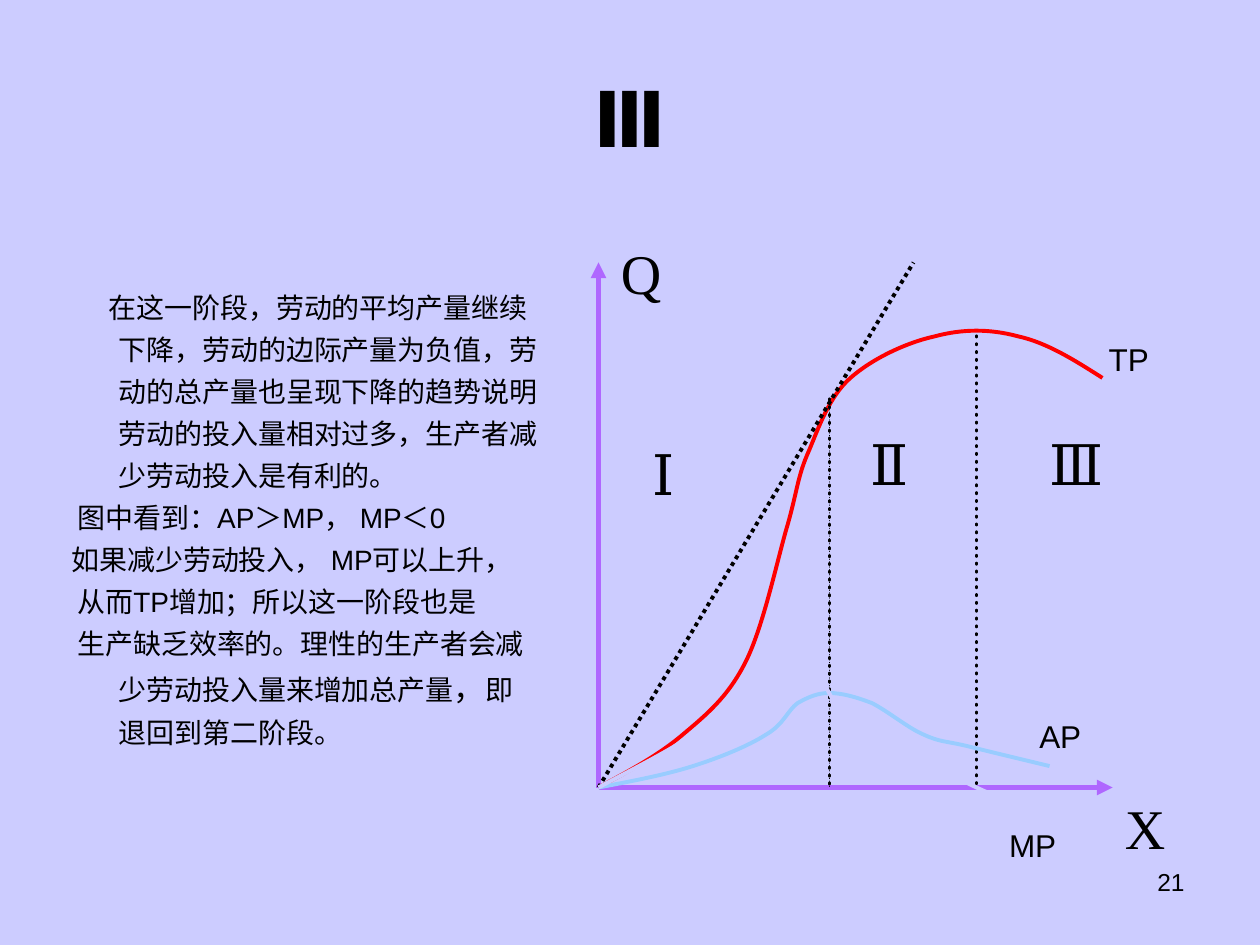
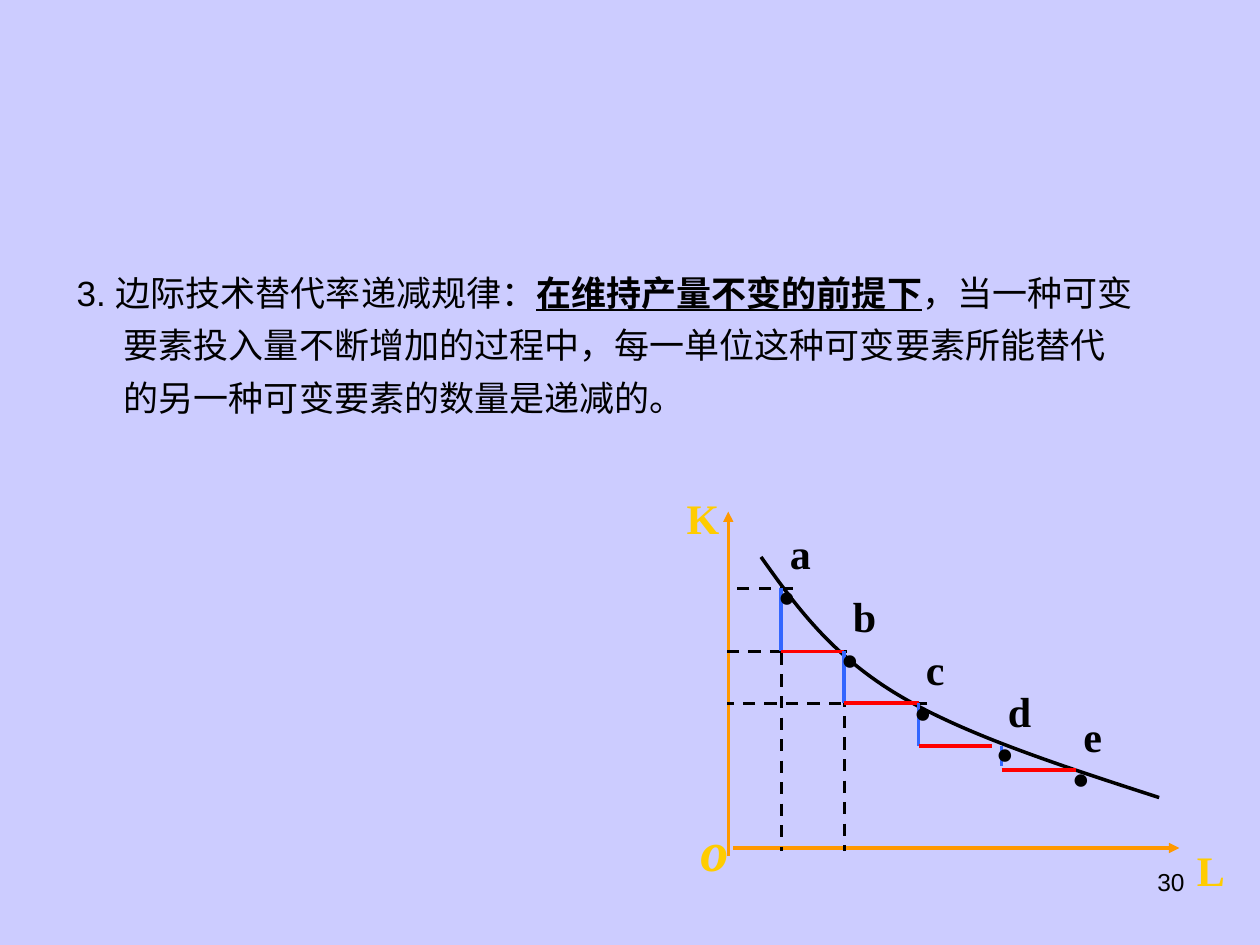
"""Build two slides on production stages and diminishing technical substitution."""
import pptx
import pptx.dml.color
import pptx.enum.dml
import pptx.enum.text
import pptx.oxml
import pptx.oxml.ns
import pptx.util

SANS, SERIF = "Arial", "Times New Roman"
BLACK, LAVENDER, PURPLE, RED = "000000", "CCCCFF", "AF67FF", "FF0000"
SKY, ORANGE, GOLD, BLUE = "99CCFF", "FF9900", "FFCC00", "3366FF"
DOT = pptx.enum.dml.MSO_LINE.ROUND_DOT
DASH = pptx.enum.dml.MSO_LINE.DASH
ALIGN = pptx.enum.text.PP_ALIGN
PLAIN_INSETS = (0.1, 0.05, 0.1, 0.05)
MARK_INSETS = (0.28, 0, 0.04, 0.17)


def length(inches):
    """Turn inches into a Cm length."""
    return pptx.util.Cm(inches * 2.54)


def rgb(code):
    """Turn a hex string into a colour."""
    return pptx.dml.color.RGBColor.from_string(code)


def sub(parent, tag, **attributes):
    """Append a DrawingML element to parent and return it."""
    child = pptx.oxml.parse_xml(f'<{tag} {pptx.oxml.ns.nsdecls("a")}/>')
    for name, value in attributes.items():
        child.set(name, value)
    parent.append(child)
    return child


def format_run(r, size, font=SANS, color=BLACK, bold=False, italic=False, underline=False):
    """Set the font of a run, for Latin and East Asian text alike."""
    r.font.size = pptx.util.Pt(size)
    r.font.name = font
    r.font.bold, r.font.italic, r.font.underline = bold, italic, underline
    r.font.color.rgb = rgb(color)
    sub(r.font._element, "a:ea", typeface=font)


def add_box(s, left, top, width, height, insets=PLAIN_INSETS, wrap=True):
    """Add an empty text box and return its text frame."""
    tf = s.shapes.add_textbox(*map(length, (left, top, width, height))).text_frame
    tf.word_wrap = wrap
    tf.margin_left, tf.margin_top, tf.margin_right, tf.margin_bottom = map(length, insets)
    return tf


def add_label(s, text, box, size, align=ALIGN.LEFT, insets=PLAIN_INSETS, wrap=True,
              spacing=None, **style):
    """Add a text box that holds one run."""
    tf = add_box(s, *box, insets, wrap)
    tf.text = text
    p = tf.paragraphs[0]
    p.alignment = align
    if spacing:
        p.line_spacing = spacing
    format_run(p.runs[0], size, **style)
    return tf


def add_mark(s, text, box, size, wrap=False, **style):
    """Add a bold serif mark set in the wide left inset."""
    add_label(s, text, box, size, ALIGN.CENTER, MARK_INSETS, wrap, 1.4,
              font=SERIF, bold=True, **style)


def fill_paragraph(p, runs, indent):
    """Write (text, style) runs into a hanging paragraph."""
    p.line_spacing = 1.25
    properties = p._p.get_or_add_pPr()
    properties.set("marL", str(pptx.util.Cm(0.95)))
    properties.set("indent", str(pptx.util.Cm(indent)))
    for text, style in runs:
        r = p.add_run()
        r.text = text
        format_run(r, **style)


def add_line(s, start, end, color, width, dash=None, arrow=False, beads=False):
    """Add a straight connector, plain, dashed or as a string of beads."""
    sp = s.shapes.add_connector(1, *map(length, (*start, *end)))
    sp.line.color.rgb = rgb(color)
    sp.line.width = pptx.util.Pt(width)
    if dash:
        sp.line.dash_style = dash
    ln = sp.line._get_or_add_ln()
    if beads:
        ln.set("cap", "rnd")
        sub(sub(ln, "a:custDash"), "a:ds", d="100000", sp="100000")
    if arrow:
        sub(ln, "a:tailEnd", type="triangle")
    sub(sp._element.spPr, "a:effectLst")


def add_curve(s, start, segments, color, width):
    """Add an open outline of cubic segments, each two handles and an end."""
    points = [start] + [seg[i:i + 2] for seg in segments for i in (0, 2, 4)]
    points = [(length(x), length(y)) for x, y in points]
    builder = s.shapes.build_freeform(*points[0])
    builder.add_line_segments(points[1:], close=False)
    sp = builder.convert_to_shape()
    lines = sp._element.findall(".//" + pptx.oxml.ns.qn("a:lnTo"))
    outline = lines[0].getparent()
    for i in range(0, len(lines), 3):
        cubic = sub(outline, "a:cubicBezTo")
        for line in lines[i:i + 3]:
            cubic.append(line[0])
            outline.remove(line)
    sp.shadow.inherit = False
    sp.fill.background()
    sp.line.color.rgb = rgb(color)
    sp.line.width = pptx.util.Pt(width)


def new_slide(prs, number):
    """Add a blank slide with the shared background and page number."""
    s = prs.slides.add_slide(prs.slide_layouts[6])
    s.background.fill.solid()
    s.background.fill.fore_color.rgb = rgb(LAVENDER)
    add_label(s, number, (7.17, 6.83, 2.33, 0.52), 14, ALIGN.RIGHT)
    return s


def add_stage_text(s):
    """Add the explanation of the third stage."""
    normal, large = {"size": 16}, {"size": 18}
    paragraphs = [
        (-0.2, [("在这一阶段，劳动的平均产量继续下降，劳动的边际产量为负值，劳动的总产量也呈现下降的"
                 "趋势说明劳动的投入量相对过多，生产者减少劳动投入是有利的。", normal)]),
        (-0.83, [("图中看到：AP＞MP， MP＜0", normal)]),
        (-0.95, [("如果减少劳动投入， MP可以上升，", normal)]),
        (-0.83, [("从而TP增加；所以这一阶段也是", normal)]),
        (-0.83, [("生产缺乏效率的。理性的生产者会减少劳动投入量来增加总产量", normal),
                 ("，", large), ("即退回到第二阶段。", normal)]),
    ]
    tf = add_box(s, 0.47, 2.19, 3.91, 4.5)
    for i, (indent, runs) in enumerate(paragraphs):
        fill_paragraph(tf.add_paragraph() if i else tf.paragraphs[0], runs, indent)


def add_product_diagram(s):
    """Draw the total, average and marginal product curves."""
    origin, top = (4.75, 6.25), 25 / 12
    for end in ((8.83, 6.25), (4.75, top)):
        add_line(s, origin, end, PURPLE, 3, arrow=True)
    add_curve(s, origin, [
        (4.99, 6.12, 5.22, 6, 5.42, 5.83), (5.61, 5.67, 5.78, 5.53, 5.92, 5.25),
        (6.06, 4.97, 6.17, 4.44, 6.25, 4.17), (6.33, 3.89, 6.33, 3.78, 6.42, 3.58),
        (6.5, 3.39, 6.58, 3.15, 6.75, 3), (6.92, 2.85, 7.19, 2.72, 7.42, 2.67),
        (7.64, 2.61, 7.86, 2.61, 8.08, 2.67), (8.31, 2.72, 8.53, 2.86, 8.75, 3)], RED, 2.25)
    add_line(s, origin, (7.25, top), BLACK, 2.25, DOT)
    average_peak, total_peak = (79 / 12, 3.17), (7.75, 2.67)
    for (x, y), width in ((average_peak, 0.75), (total_peak, 2.25), (average_peak, 2.25)):
        add_line(s, (x, y), (x, 6.25), BLACK, width, beads=True)
    add_curve(s, origin, [
        (5.01, 6.2, 5.28, 6.15, 5.5, 6.08), (5.72, 6.01, 5.94, 5.92, 6.08, 5.83),
        (6.22, 5.75, 6.25, 5.64, 6.33, 5.58), (6.42, 5.53, 6.49, 5.5, 6.58, 5.5),
        (6.68, 5.5, 6.79, 5.53, 6.92, 5.58), (7.04, 5.64, 7.21, 5.78, 7.33, 5.83),
        (7.46, 5.89, 7.5, 5.88, 7.67, 5.92), (7.83, 5.96, 8.08, 6.02, 8.33, 6.08)], SKY, 2.25)
    add_curve(s, origin, [
        (5.03, 6.1, 5.31, 5.96, 5.5, 5.83), (5.69, 5.71, 5.79, 5.62, 5.92, 5.5),
        (6.04, 5.37, 6.17, 5.15, 6.25, 5.08), (6.33, 5.01, 6.36, 5.01, 6.42, 5.08),
        (6.47, 5.15, 6.51, 5.37, 6.58, 5.5), (6.65, 5.62, 6.69, 5.74, 6.83, 5.83),
        (6.97, 5.93, 7.26, 6.01, 7.42, 6.08), (7.57, 6.15, 7.6, 6.18, 7.75, 6.25),
        (7.9, 6.32, 8.12, 6.41, 8.33, 6.5)], LAVENDER, 2.25)
    for text, x, y, width in (("Q", 4.83, 1.84, 1.33), ("X", 8.83, 6.25, 0.58),
                              ("Ⅲ", 8.23, 3.36, 0.75), ("Ⅱ", 6.81, 3.36, 0.67),
                              ("Ⅰ", 5.08, 3.44, 0.75)):
        add_label(s, text, (x, y, width, 0.64), 32, font=SERIF)
    for text, x, y, width in (("TP", 8.7, 2.65, 0.71), ("AP", 8.15, 5.64, 0.87),
                              ("MP", 7.91, 6.51, 0.71)):
        add_label(s, text, (x, y, width, 0.4), 18)


def add_substitution_diagram(s):
    """Draw the isoquant with its shrinking steps."""
    add_line(s, (5.82, 6.73), (9.36, 6.73), ORANGE, 1.75, arrow=True)
    add_line(s, (5.78, 6.79), (5.78, 4.06), ORANGE, 1.75, arrow=True)
    add_mark(s, "o", (5.28, 6.26, 0.54, 0.92), 32, color=GOLD, italic=True)
    add_mark(s, "L", (9.22, 6.54, 0.54, 0.73), 24, color=GOLD)
    add_mark(s, "K", (5.17, 3.75, 0.58, 0.73), 24, color=GOLD)
    add_curve(s, (6.04, 4.42), [(6.31, 4.8, 6.59, 5.19, 7.12, 5.51),
                                (7.65, 5.83, 8.43, 6.08, 9.2, 6.33)], BLACK, 2)
    for right, left, y in ((6.29, 5.79, 4.67), (6.72, 5.72, 5.17), (7.36, 5.77, 5.58)):
        add_line(s, (right, y), (left, y), BLACK, 1.75, DASH)
    for x, top in ((6.2, 4.67), (6.7, 5.17)):
        add_line(s, (x, top), (x, 6.75), BLACK, 1.75, DASH)
    steps = ((6.2, 4.67, 5.17, 5.17, 6.7), (6.7, 5.17, 5.58, 5.58, 7.29),
             (7.29, 5.58, 5.92, 5.92, 7.87), (7.95, 5.92, 6.08, 6.11, 8.54))
    for x, top, bottom, tread, right in steps:
        add_line(s, (x, top), (x, bottom), BLUE, 2)
        add_line(s, (x, tread), (right, tread), RED, 2)
    for name, x, y in (("d", 7.6, 5.3), ("e", 8.2, 5.5), ("c", 6.95, 4.97),
                       ("b", 6.37, 4.55), ("a", 5.87, 4.05)):
        add_label(s, name, (x + 0.3, y + 0.09, 0.36, 0.5), 24, wrap=False,
                  font=SERIF, bold=True)
        add_mark(s, "·", (x, y, 0.47, 1.2), 44, wrap=True)


def main():
    """Build and save the presentation."""
    prs = pptx.Presentation()
    prs.slide_width, prs.slide_height = length(10), length(7.5)

    s = new_slide(prs, "21")
    tf = add_label(s, "Ⅲ", (0.5, 0.3, 9, 1.25), 44, ALIGN.CENTER, bold=True)
    tf.vertical_anchor = pptx.enum.text.MSO_ANCHOR.MIDDLE
    add_stage_text(s)
    add_product_diagram(s)

    s = new_slide(prs, "30")
    normal = {"size": 20}
    tf = add_box(s, 0.51, 2.02, 8.58, 2.47)
    fill_paragraph(tf.paragraphs[0], [
        ("3. 边际技术替代率递减规律：", normal),
        ("在维持产量不变的前提下", {"size": 20, "bold": True, "underline": True}),
        ("，当一种可变要素投入量不断增加的过程中，每一单位这种可变要素所能替代的"
         "另一种可变要素的数量是递减的。", normal)], -0.95)
    add_substitution_diagram(s)
    prs.save("out.pptx")


if __name__ == "__main__":
    main()
